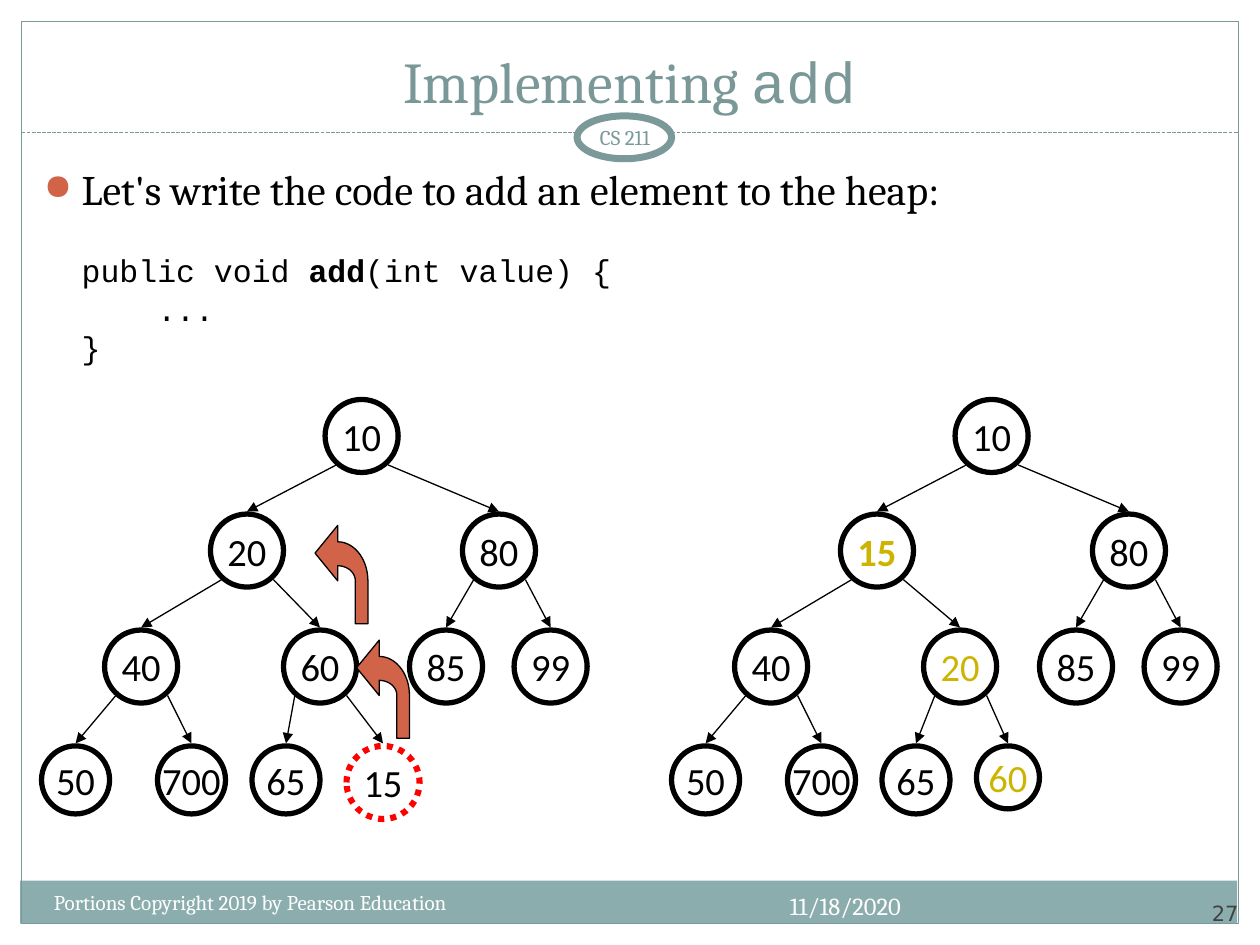
import math

import pptx
import pptx.dml.color
import pptx.enum.dml
import pptx.enum.shapes
import pptx.enum.text
import pptx.oxml.ns
import pptx.util
from lxml import etree
from pptx.util import Inches

COLORS = {
    "frame": "7C999A", "title": "7B9899", "band": "8CADAE", "accent": "D16349",
    "moved": "CCB400", "new": "FF0000", "number": "424242",
    "ink": "000000", "paper": "FFFFFF",
}
SHAPE = pptx.enum.shapes.MSO_SHAPE
DASH = pptx.enum.dml.MSO_LINE
ALIGN = pptx.enum.text.PP_ALIGN
ANCHOR = pptx.enum.text.MSO_ANCHOR

LEVEL_TOPS = [3.17, 4.08, 5, 5.92]
# Left edges of the nodes, in heap order
NODE_LEFTS = [2.58, 1.67, 3.67, 0.83, 2.25, 3.25, 4.08, 0.33, 1.25, 2, 2.75]
NODE_SIZE, LEAF_SIZE = 0.58, 0.54


def rgb(name):
    return pptx.dml.color.RGBColor.from_string(COLORS[name])


def add_xml(parent, tag, **attrs):
    return etree.SubElement(parent, pptx.oxml.ns.qn(tag), attrs)


def add_run(p, text, size, font, color="ink", bold=False):
    r = p.add_run()
    r.text = text
    r.font.size = pptx.util.Pt(size)
    r.font.name = font
    r.font.bold = bold
    r.font.color.rgb = rgb(color)


def style_line(line, color, width, dash=None):
    line.color.rgb = rgb(color)
    line.width = pptx.util.Pt(width)
    if dash is not None:
        line.dash_style = dash


def style_shape(sp, fill=None, line=None, width=0.75, dash=None):
    sp.shadow.inherit = False
    if fill:
        sp.fill.solid()
        sp.fill.fore_color.rgb = rgb(fill)
    else:
        sp.fill.background()
    if line:
        style_line(sp.line, line, width, dash)
    else:
        sp.line.fill.background()


def add_box(s, kind, box, **style):
    sp = s.shapes.add_shape(kind, *map(Inches, box))
    style_shape(sp, **style)
    return sp


def add_line(s, start, end, color="ink", dash=None, arrow=False):
    c = s.shapes.add_connector(pptx.enum.shapes.MSO_CONNECTOR.STRAIGHT,
                               *map(Inches, (*start, *end)))
    style_line(c.line, color, 0.75, dash)
    if arrow:
        add_xml(c.line._get_or_add_ln(), "a:tailEnd", type="triangle")
    add_xml(c._element.spPr, "a:effectLst")


def add_text_box(s, box, anchor=ANCHOR.TOP, inset=None):
    tf = s.shapes.add_textbox(*map(Inches, box)).text_frame
    tf.word_wrap = True
    tf.vertical_anchor = anchor
    if inset is not None:
        tf.margin_left = tf.margin_right = Inches(inset)
        tf.margin_top = tf.margin_bottom = Inches(inset)
    return tf


def add_label(s, box, text, size, font, color, align, **frame):
    p = add_text_box(s, box, **frame).paragraphs[0]
    p.alignment = align
    add_run(p, text, size, font, color)


def add_title(s):
    title = s.shapes.title
    title.left, title.top, title.width, title.height = map(
        Inches, (0.33, 0.25, 9.33, 0.71))
    tf = title.text_frame
    tf.auto_size = pptx.enum.text.MSO_AUTO_SIZE.NONE
    tf.vertical_anchor = ANCHOR.BOTTOM
    p = tf.paragraphs[0]
    p.alignment = ALIGN.CENTER
    add_run(p, "Implementing ", 33, "Cambria", "title")
    add_run(p, "add", 33, "Courier New", "title")


def add_frame(s):
    add_box(s, SHAPE.RECTANGLE, (0.16, 6.99, 9.66, 0.34), fill="band")
    add_box(s, SHAPE.RECTANGLE, (0.17, 0.17, 9.66, 7.16), line="frame")
    add_line(s, (0.17, 1.05), (9.83, 1.05), "frame", DASH.SQUARE_DOT)
    add_box(s, SHAPE.OVAL, (4.58, 0.92, 0.75, 0.34),
            fill="paper", line="frame", width=4)


def add_body(s):
    tf = add_text_box(s, (0.25, 1.33, 9.5, 2.03))
    p = tf.paragraphs[0]
    p.line_spacing = 0.8
    pPr = p._p.get_or_add_pPr()
    pPr.set("marL", str(Inches(0.3)))
    pPr.set("indent", str(-Inches(0.3)))
    add_xml(add_xml(pPr, "a:buClr"), "a:srgbClr", val=COLORS["accent"])
    add_xml(pPr, "a:buSzPct", val="85000")
    add_xml(pPr, "a:buChar", char="●")
    add_run(p, "Let's write the code to add an element to the heap:", 24, "Cambria")

    code = [
        (25, [("public void ", False), ("add", True), ("(int value) {", False)]),
        (5, [("    ...", False)]),
        (5, [("}", False)]),
    ]
    for space, runs in code:
        p = tf.add_paragraph()
        p.line_spacing = 0.8
        p.space_before = pptx.util.Pt(space)
        p._p.get_or_add_pPr().set("marL", str(Inches(0.3)))
        for text, bold in runs:
            add_run(p, text, 18, "Courier New", bold=bold)


def add_node(s, left, top, size, value, color="ink", bold=False,
             line="ink", width=3, dash=None):
    sp = add_box(s, SHAPE.OVAL, (left, top, size, size),
                 line=line, width=width, dash=dash)
    tf = sp.text_frame
    tf.word_wrap = False
    tf.vertical_anchor = ANCHOR.MIDDLE
    p = tf.paragraphs[0]
    p.alignment = ALIGN.CENTER
    add_run(p, str(value), 22, "Calibri", color, bold)


def add_heap(s, values, lefts, last_size, styles):
    """Draw a binary heap given in array order; styles maps index to node style."""
    tops = [LEVEL_TOPS[int(math.log2(i + 1))] for i in range(len(values))]
    for i, (value, left, top) in enumerate(zip(values, lefts, tops)):
        size = LEAF_SIZE if top == LEVEL_TOPS[-1] else NODE_SIZE
        if i == len(values) - 1:
            size = last_size
        add_node(s, left, top, size, value, **styles.get(i, {}))
        if i:
            parent = (i - 1) // 2
            offset = 0.09 if i % 2 else 0.5
            add_line(s, (lefts[parent] + offset, tops[parent] + 0.52),
                     (left + size / 2, top - 0.02), arrow=True)


def add_swap_arrow(s, left, top):
    """Draw an arrow that rises, curves and points left."""
    turns = [math.radians(a) for a in range(0, 91, 6)]

    def arc(rx, ry):
        return [(0.18 + rx * math.sin(a), 0.44 - ry * math.cos(a)) for a in turns]

    points = [(0, 0.22), (0.18, 0), *arc(0.24, 0.31), (0.42, 0.78),
              (0.32, 0.78), *reversed(arc(0.14, 0.12)), (0.18, 0.44)]
    points = [(Inches(left + x), Inches(top + y)) for x, y in points]
    builder = s.shapes.build_freeform(*points[0])
    builder.add_line_segments(points[1:], close=True)
    style_shape(builder.convert_to_shape(), fill="accent", line="ink")


def add_footer(s):
    add_label(s, (5.59, 7.02, 1.66, 0.4), "11/18/2020", 14, "Cambria",
              "paper", ALIGN.RIGHT)
    add_label(s, (0.33, 7.01, 4.08, 0.4),
              "Portions Copyright 2019 by Pearson Education", 12, "Cambria",
              "paper", ALIGN.LEFT)
    add_label(s, (9, 6.95, 0.83, 0.4), "27", 12, "DejaVu Sans", "number",
              ALIGN.RIGHT, anchor=ANCHOR.BOTTOM, inset=0)


def main():
    prs = pptx.Presentation()
    prs.slide_width, prs.slide_height = Inches(10), Inches(7.5)
    s = prs.slides.add_slide(prs.slide_layouts[5])
    add_title(s)
    add_frame(s)
    add_label(s, (4.5, 0.92, 0.92, 0.33), "CS 211", 12, "Cambria", "frame",
              ALIGN.CENTER, anchor=ANCHOR.MIDDLE, inset=0.05)
    add_body(s)

    add_heap(s, [10, 20, 80, 40, 60, 85, 99, 50, 700, 65, 15], NODE_LEFTS, 0.58,
             {10: dict(line="new", width=3.5, dash=DASH.ROUND_DOT)})
    add_swap_arrow(s, 2.83, 5.08)
    add_swap_arrow(s, 2.5, 4.17)

    right_lefts = [left + 5 for left in NODE_LEFTS]
    right_lefts[4] = 7.33
    moved = dict(color="moved")
    add_heap(s, [10, 15, 80, 40, 20, 85, 99, 50, 700, 65, 60], right_lefts, 0.5,
             {1: dict(color="moved", bold=True), 4: moved, 10: moved})
    add_footer(s)
    prs.save("out.pptx")


if __name__ == "__main__":
    main()
